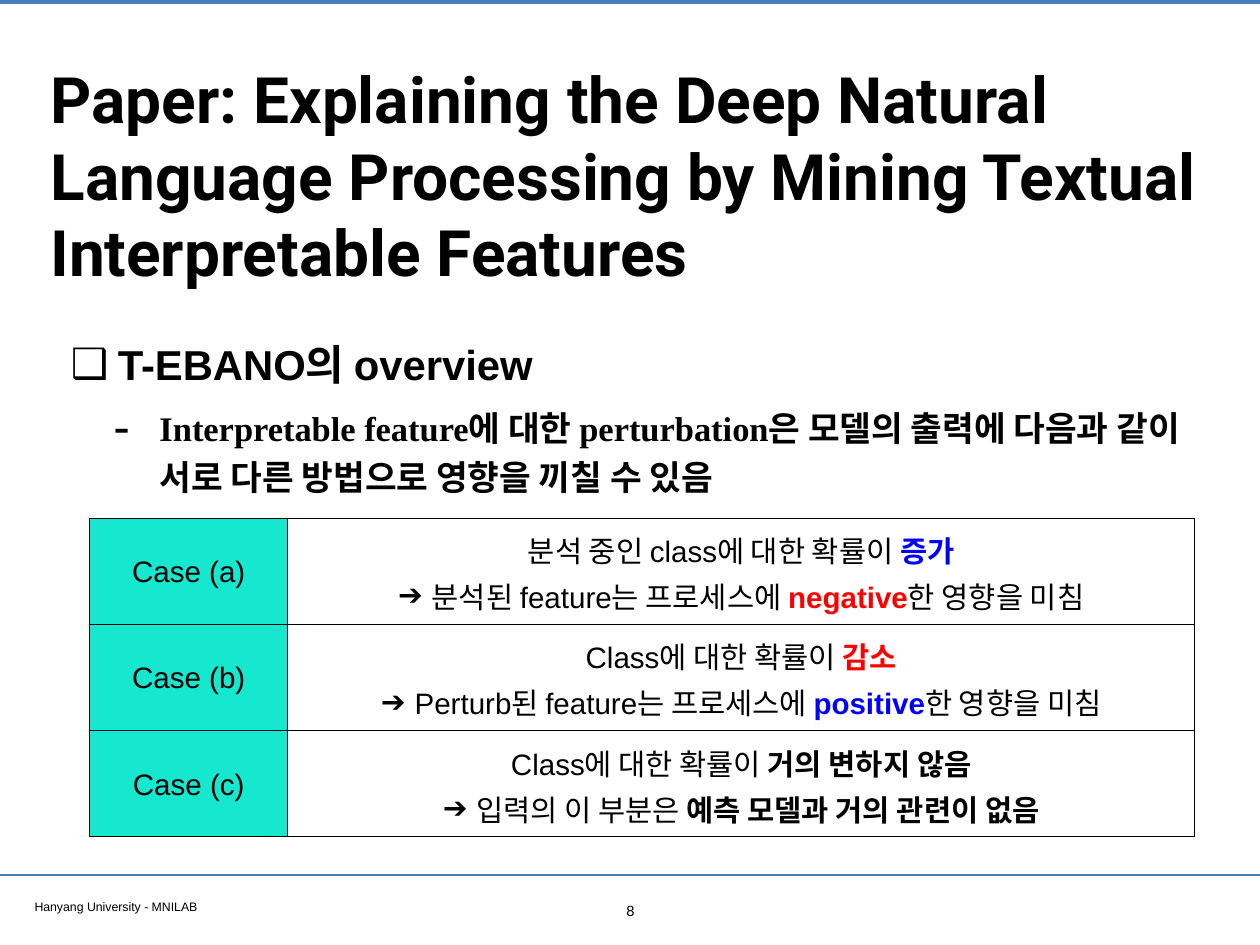
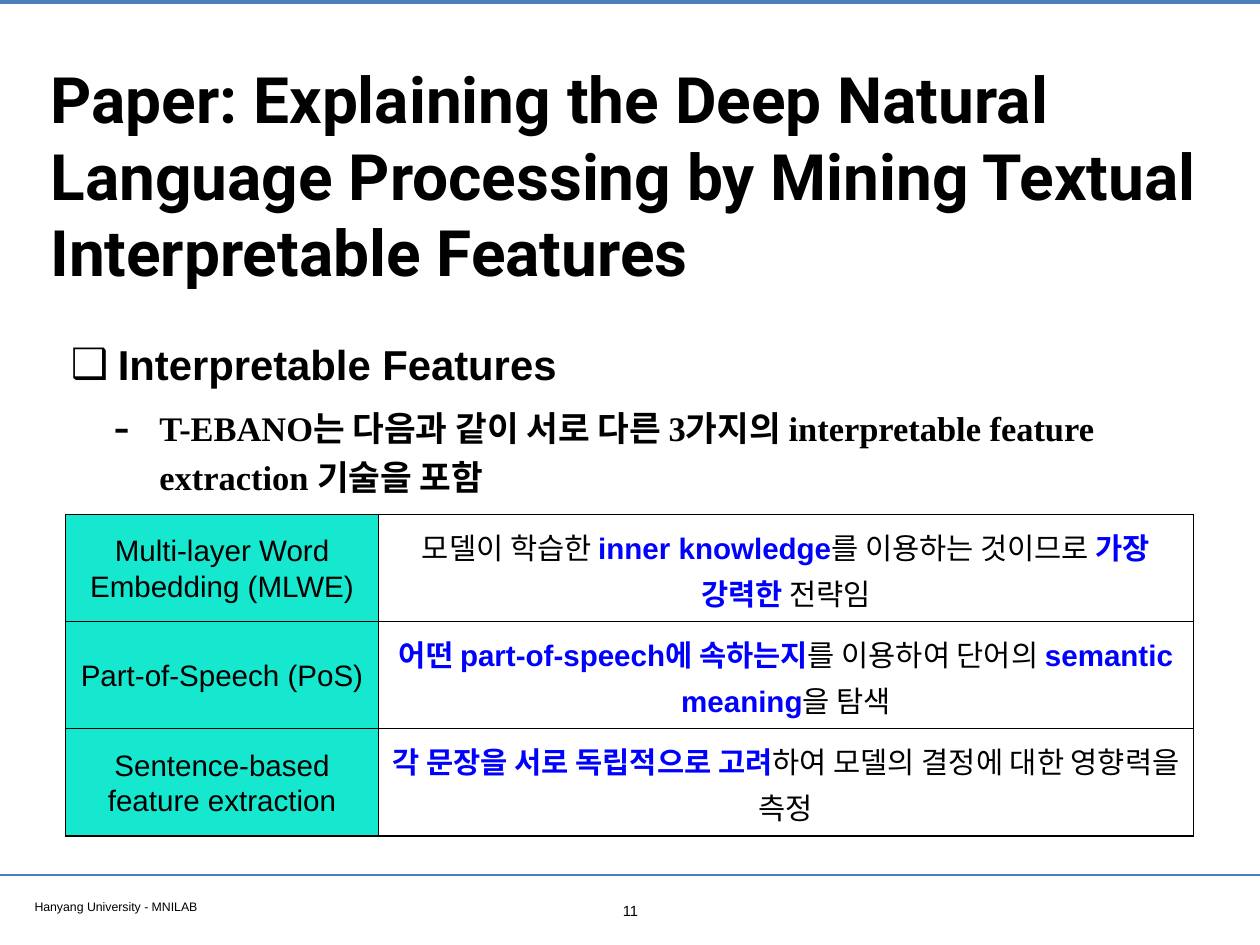
from dataclasses import dataclass
from typing import Any

from lxml.etree import SubElement
from pptx import Presentation
from pptx.dml.color import RGBColor
from pptx.enum.shapes import MSO_CONNECTOR
from pptx.enum.text import MSO_ANCHOR, MSO_AUTO_SIZE, PP_ALIGN
from pptx.oxml.ns import qn
from pptx.util import Inches, Pt


# Colours, fonts and type sizes
@dataclass(frozen=True)
class Theme:
    black: str = "000000"
    blue: str = "0000FF"
    red: str = "FF0000"
    rule: str = "4A7EBB"
    label: str = "16E7CF"
    sans: str = "Arial"
    serif: str = "Times New Roman"
    head: str = "Roboto"
    title: int = 52
    topic: int = 34
    point: int = 28
    cell: int = 24
    page: int = 12
    foot: int = 10


THEME = Theme()


@dataclass(frozen=True)
class Run:
    text: str
    color: str = THEME.black
    bold: bool = False


@dataclass(frozen=True)
class Style:
    font: str
    size: int
    align: Any = PP_ALIGN.LEFT
    lines: float = 1.0
    before: int = 0
    level: int = 0
    indent: float = 0
    hang: float = 0
    mark: str = ""
    scale: int = 100


@dataclass(frozen=True)
class Row:
    label: str
    lines: list[list[Run]]


@dataclass(frozen=True)
class Grid:
    left: float
    top: float
    cols: tuple[float, float]
    height: float
    rows: list[Row]


@dataclass(frozen=True)
class Page:
    number: int
    topic: str
    point: str
    grid: Grid


TITLE = Style(THEME.head, THEME.title)
TOPIC = Style(THEME.sans, THEME.topic, lines=1.2, indent=0.53, hang=0.53, mark="❑")
POINT = Style(THEME.serif, THEME.point, lines=1.2, before=8, level=1,
              indent=1, hang=0.52, mark="-", scale=145)
CELL = Style(THEME.sans, THEME.cell, PP_ALIGN.CENTER, 1.07)
ARROW = Style(THEME.sans, THEME.cell, PP_ALIGN.CENTER, 1.07,
              indent=0.38, hang=0.38, mark="➔")
FOOT = Style(THEME.sans, THEME.foot)
COUNT = Style(THEME.sans, THEME.page, PP_ALIGN.CENTER)

WIDTH, HEIGHT = 14.22, 10.67
HEADING = ("Paper: Explaining the Deep Natural Language Processing "
           "by Mining Textual Interpretable Features")


def strong(text: str, color: str = THEME.black) -> Run:
    return Run(text, color, True)


def apply(target: Any, values: dict[str, Any]) -> None:
    for name, value in values.items():
        setattr(target, name, value)


# Text
def write(para: Any, runs: list[Run], style: Style) -> None:
    apply(para, {"level": style.level, "alignment": style.align,
                 "line_spacing": style.lines, "space_before": Pt(style.before),
                 "space_after": Pt(0)})
    props = para._p.get_or_add_pPr()
    props.set("marL", str(Inches(style.indent)))
    props.set("indent", str(-Inches(style.hang)))
    if style.mark:
        SubElement(props, qn("a:buSzPct"), val=str(style.scale * 1000))
        SubElement(props, qn("a:buFont"), typeface=THEME.sans)
        SubElement(props, qn("a:buChar"), char=style.mark)
    else:
        SubElement(props, qn("a:buNone"))
    for item in runs:
        run = para.add_run()
        run.text = item.text
        apply(run.font, {"name": style.font, "size": Pt(style.size), "bold": item.bold})
        run.font.color.rgb = RGBColor.from_string(item.color)


def fill(frame: Any, parts: list[tuple[list[Run], Style]]) -> None:
    for index, (runs, style) in enumerate(parts):
        para = frame.add_paragraph() if index else frame.paragraphs[0]
        write(para, runs, style)


def place(shape: Any, box: tuple[float, float, float, float], anchor: Any) -> Any:
    apply(shape, dict(zip(("left", "top", "width", "height"), map(Inches, box))))
    frame = shape.text_frame
    sides = ("left", "top", "right", "bottom")
    apply(frame, {f"margin_{side}": Inches(0.06) for side in sides})
    apply(frame, {"word_wrap": True, "auto_size": MSO_AUTO_SIZE.NONE,
                  "vertical_anchor": anchor})
    return frame


# Shared rules and footer
def draw_rule(slide: Any, y: float, weight: float) -> None:
    line = slide.shapes.add_connector(
        MSO_CONNECTOR.STRAIGHT, 0, Inches(y), Inches(WIDTH), Inches(y))
    line.line.color.rgb = RGBColor.from_string(THEME.rule)
    line.line.width = Pt(weight)
    SubElement(line._element.spPr, qn("a:effectLst"))


def draw_note(slide: Any, text: str, box: tuple[float, float, float, float],
              style: Style) -> None:
    shape = slide.shapes.add_textbox(0, 0, 0, 0)
    fill(place(shape, box, MSO_ANCHOR.TOP), [([Run(text)], style)])


def draw_frame(slide: Any, number: int) -> None:
    draw_rule(slide, 0.02, 3.2)
    draw_rule(slide, 9.88, 2)
    draw_note(slide, "Hanyang University - MNILAB", (0.33, 10.09, 5.46, 0.26), FOOT)
    draw_note(slide, str(number), (6.92, 10.12, 0.39, 0.31), COUNT)


# Table
def set_cell(cell: Any, lines: list[list[Run]], color: str = "") -> None:
    apply(cell, {"vertical_anchor": MSO_ANCHOR.MIDDLE,
                 "margin_left": Inches(0.07), "margin_right": Inches(0.07),
                 "margin_top": 0, "margin_bottom": 0})
    props = cell._tc.get_or_add_tcPr()
    for side in ("lnL", "lnR", "lnT", "lnB"):
        edge = SubElement(props, qn(f"a:{side}"), w=str(Pt(1)))
        paint = SubElement(edge, qn("a:solidFill"))
        SubElement(paint, qn("a:srgbClr"), val=THEME.black)
    if color:
        cell.fill.solid()
        cell.fill.fore_color.rgb = RGBColor.from_string(color)
    else:
        cell.fill.background()
    fill(cell.text_frame, [(runs, ARROW if index else CELL)
                           for index, runs in enumerate(lines)])


def draw_grid(slide: Any, grid: Grid) -> None:
    count = len(grid.rows)
    table = slide.shapes.add_table(
        count, 2, Inches(grid.left), Inches(grid.top),
        Inches(sum(grid.cols)), Inches(grid.height * count)).table
    apply(table, {"first_row": False, "horz_banding": False})
    for col, width in zip(table.columns, grid.cols):
        col.width = Inches(width)
    for index, row in enumerate(grid.rows):
        table.rows[index].height = Inches(grid.height)
        set_cell(table.cell(index, 0), [[Run(row.label)]], THEME.label)
        set_cell(table.cell(index, 1), row.lines)


# Content
CASES = Grid(1.01, 5.85, (2.24, 10.23), 1.2, [
    Row("Case (a)", [
        [Run("분석 중인 class에 대한 확률이 "), strong("증가", THEME.blue)],
        [Run("분석된 feature는 프로세스에 "), strong("negative", THEME.red),
         Run("한 영향을 미침")]]),
    Row("Case (b)", [
        [Run("Class에 대한 확률이 "), strong("감소", THEME.red)],
        [Run("Perturb된 feature는 프로세스에 "), strong("positive", THEME.blue),
         Run("한 영향을 미침")]]),
    Row("Case (c)", [
        [Run("Class에 대한 확률이 "), strong("거의 변하지 않음")],
        [Run("입력의 이 부분은 "), strong("예측 모델과 거의 관련이 없음")]]),
])
METHODS = Grid(0.74, 5.81, (3.53, 9.2), 1.21, [
    Row("Multi-layer Word Embedding (MLWE)", [
        [Run("모델이 학습한 "), strong("inner knowledge", THEME.blue),
         Run("를 이용하는 것이므로 "), strong("가장 강력한 ", THEME.blue),
         Run("전략임")]]),
    Row("Part-of-Speech (PoS)", [
        [strong("어떤 part-of-speech에 속하는지", THEME.blue),
         Run("를 이용하여 단어의 "), strong("semantic meaning", THEME.blue),
         Run("을 탐색")]]),
    Row("Sentence-based feature extraction", [
        [strong("각 문장을 서로 독립적으로 고려", THEME.blue),
         Run("하여 모델의 결정에 대한 영향력을 측정")]]),
])
PAGES = [
    Page(8, "T-EBANO의 overview",
         "Interpretable feature에 대한 perturbation은 모델의 출력에 다음과 같이 "
         "서로 다른 방법으로 영향을 끼칠 수 있음", CASES),
    Page(11, "Interpretable Features",
         "T-EBANO는 다음과 같이 서로 다른 3가지의 interpretable feature "
         "extraction 기술을 포함", METHODS),
]


def draw_page(deck: Any, page: Page) -> None:
    slide = deck.slides.add_slide(deck.slide_layouts[1])
    draw_frame(slide, page.number)
    title = place(slide.shapes.title, (0.51, 0.28, 13.21, 3.38), MSO_ANCHOR.MIDDLE)
    fill(title, [([strong(HEADING)], TITLE)])
    body = place(slide.placeholders[1], (0.74, 3.65, 13.35, 2.2), MSO_ANCHOR.TOP)
    fill(body, [([strong(page.topic)], TOPIC), ([strong(page.point)], POINT)])
    draw_grid(slide, page.grid)


def main() -> None:
    deck = Presentation()
    apply(deck, {"slide_width": Inches(WIDTH), "slide_height": Inches(HEIGHT)})
    for page in PAGES:
        draw_page(deck, page)
    deck.save("out.pptx")


if __name__ == "__main__":
    main()
